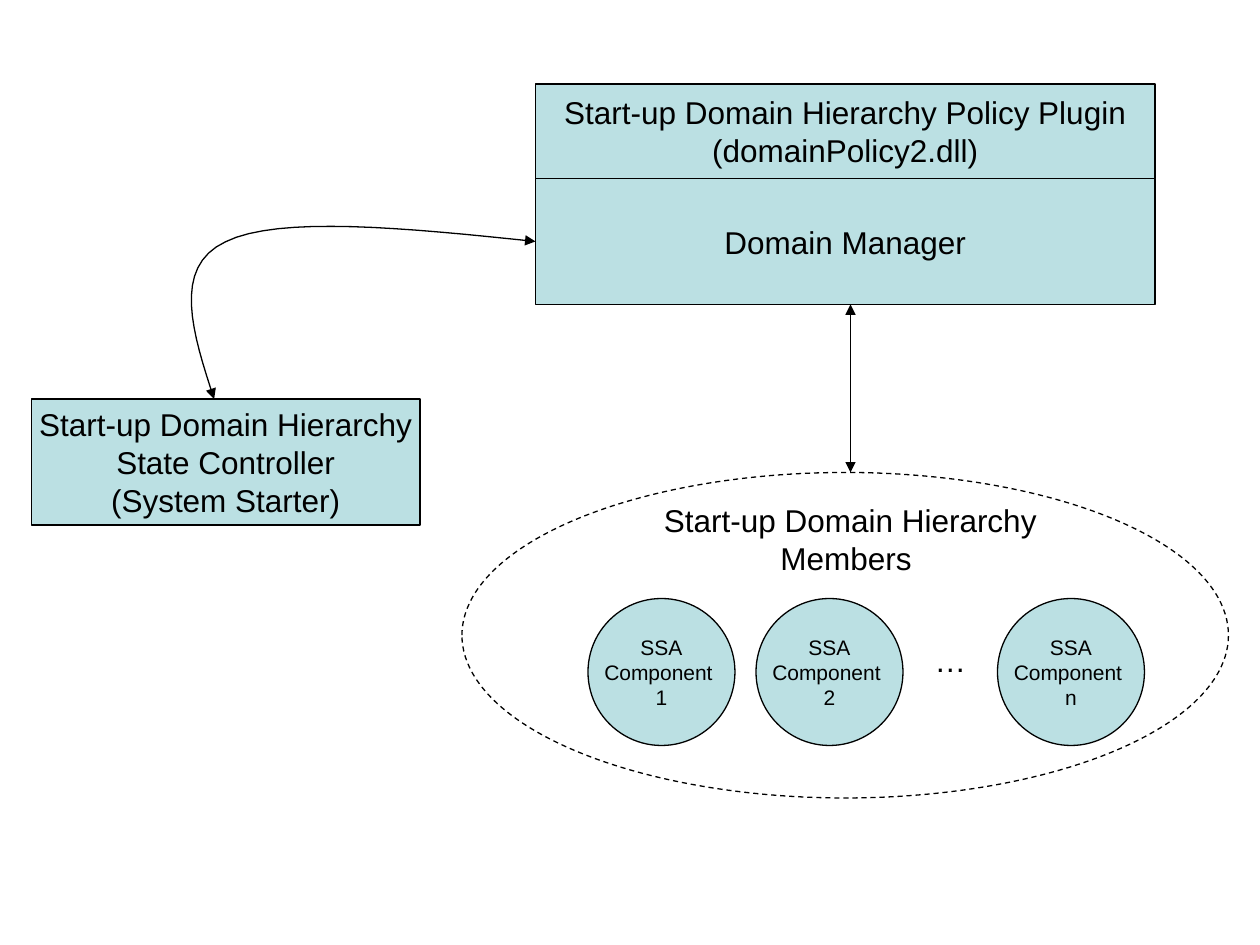
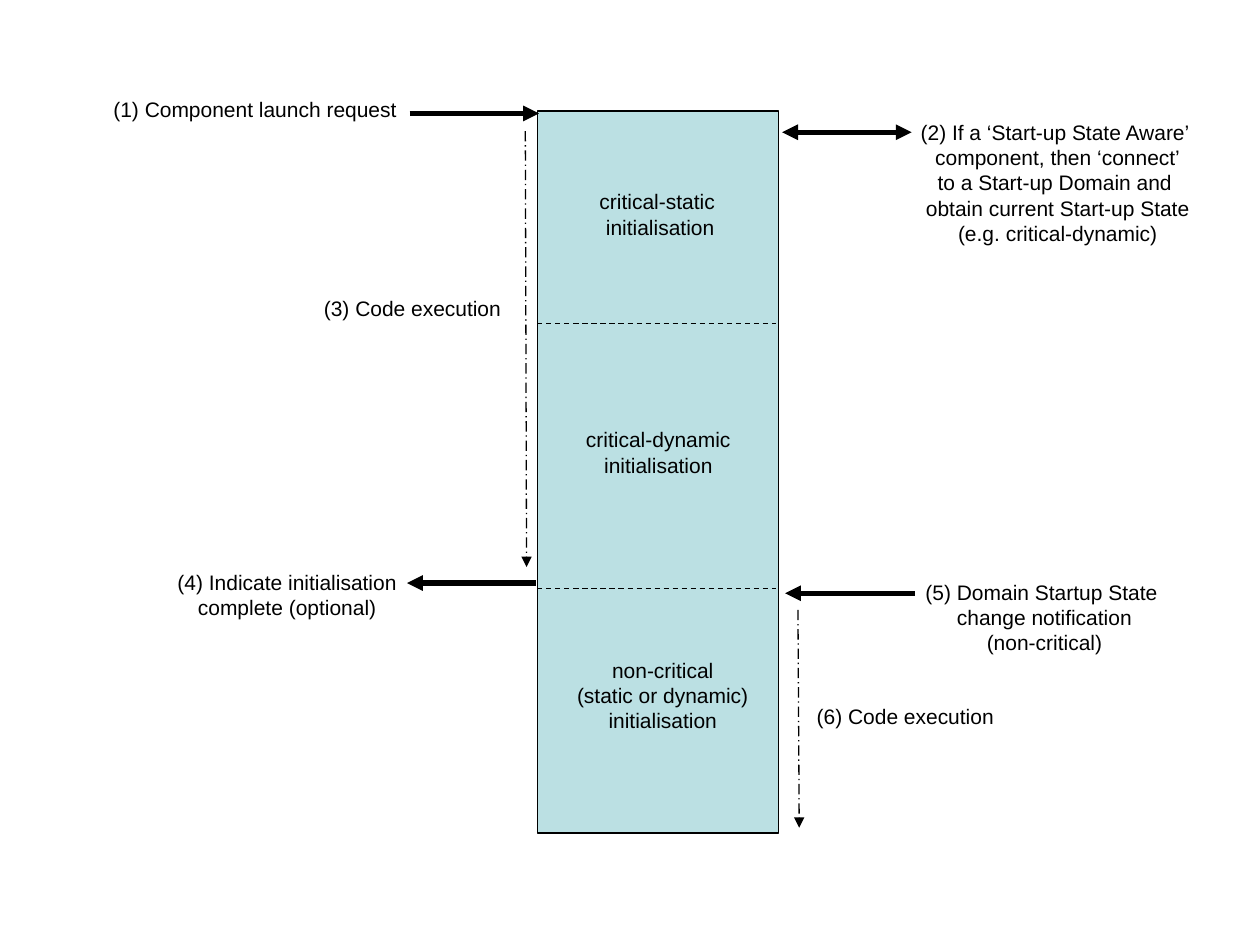
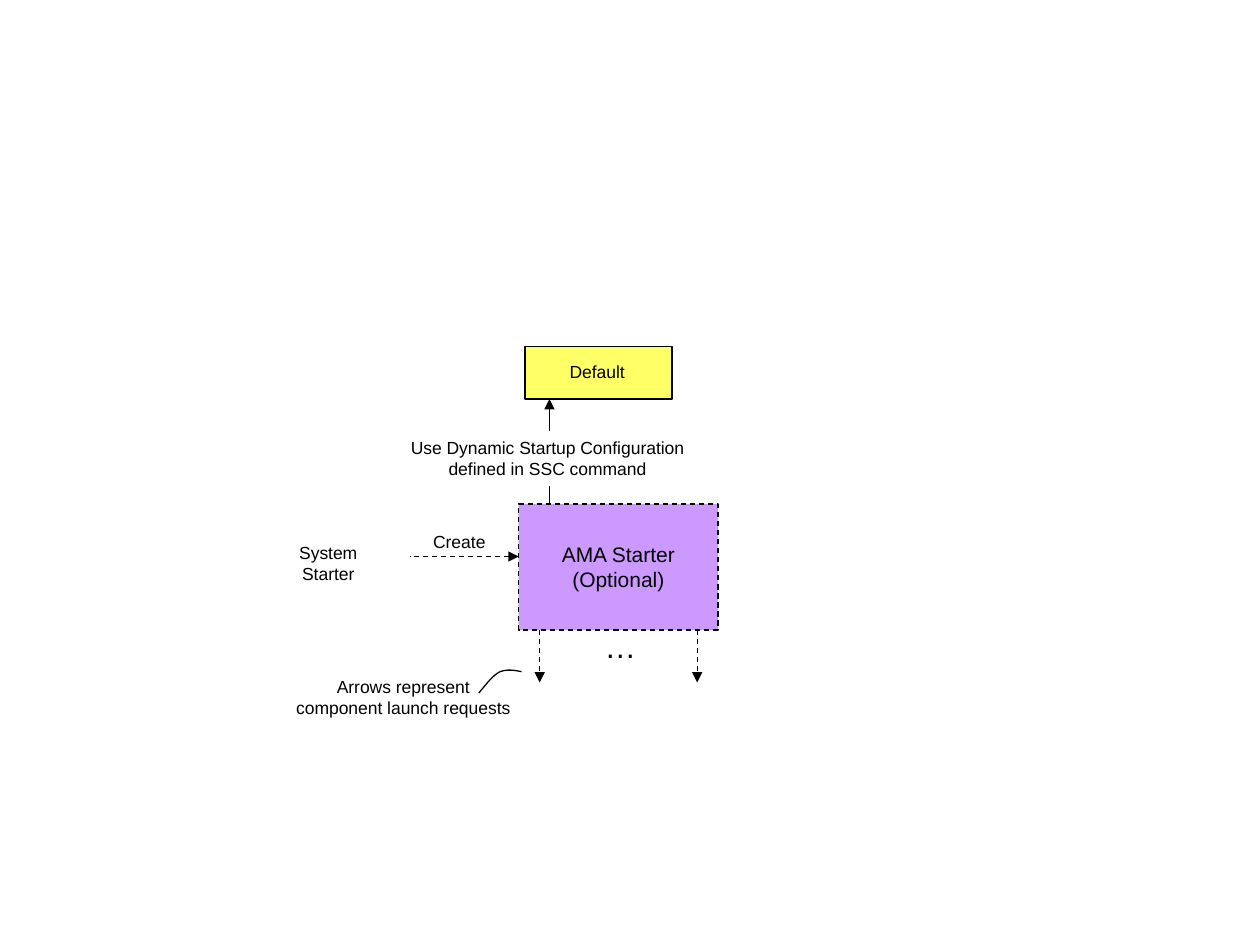
"""Build three diagrams of the start-up domain hierarchy and its components."""
import lxml.etree
import pptx
import pptx.dml.color
import pptx.enum.dml
import pptx.enum.shapes
import pptx.enum.text
import pptx.oxml.ns
import pptx.util

Pt = pptx.util.Pt
color = pptx.dml.color.RGBColor.from_string
qn = pptx.oxml.ns.qn
RECTANGLE = pptx.enum.shapes.MSO_SHAPE.RECTANGLE
OVAL = pptx.enum.shapes.MSO_SHAPE.OVAL
STRAIGHT = pptx.enum.shapes.MSO_CONNECTOR.STRAIGHT
DASH = pptx.enum.dml.MSO_LINE.DASH
LONG_DASH_DOT = pptx.enum.dml.MSO_LINE.LONG_DASH_DOT
MIDDLE = pptx.enum.text.MSO_ANCHOR.MIDDLE
TOP = pptx.enum.text.MSO_ANCHOR.TOP
CENTER = pptx.enum.text.PP_ALIGN.CENTER
LEFT = pptx.enum.text.PP_ALIGN.LEFT
FIT = pptx.enum.text.MSO_AUTO_SIZE.SHAPE_TO_FIT_TEXT
BLACK, WHITE, TEAL, PURPLE, YELLOW = "000000", "FFFFFF", "BBE0E3", "CC99FF", "FFFF66"
CURVE_STEPS = 16


def add_box(slide, bounds, text="", size=12, form=None, fill=None, outline=True,
            dash=None, anchor=MIDDLE, alignment=CENTER, wrap=False):
    """Add a preset shape, or a plain text box when no form is given."""
    position = [Pt(value) for value in bounds]
    if form is None:
        shape = slide.shapes.add_textbox(*position)
        frame_format = {"word_wrap": wrap, "auto_size": FIT, "vertical_anchor": TOP}
    else:
        shape = slide.shapes.add_shape(form, *position)
        shape.shadow.inherit = False
        frame_format = {"word_wrap": wrap, "vertical_anchor": anchor}
        if fill:
            shape.fill.solid()
            shape.fill.fore_color.rgb = color(fill)
        else:
            shape.fill.background()
        if outline:
            shape.line.color.rgb = color(BLACK)
            shape.line.width = Pt(0.75)
            shape.line.dash_style = dash
        else:
            shape.line.fill.background()
    for name, value in frame_format.items():
        setattr(shape.text_frame, name, value)
    shape.text_frame.text = text
    for paragraph in shape.text_frame.paragraphs:
        paragraph.alignment = alignment
        for run in paragraph.runs:
            for name, value in {"name": "Arial", "size": Pt(size)}.items():
                setattr(run.font, name, value)
            run.font.color.rgb = color(BLACK)


def add_line(slide, points, width=0.75, dash=None, ends=()):
    """Add a straight connector, or a curve through chained cubic control points."""
    if len(points) == 2:
        line = slide.shapes.add_connector(
            STRAIGHT, *[Pt(value) for point in points for value in point])
    else:
        curve = []
        for first in range(0, len(points) - 1, 3):
            controls = points[first:first + 4]
            for step in range(1, CURVE_STEPS + 1):
                t = step / CURVE_STEPS
                weights = ((1 - t) ** 3, 3 * t * (1 - t) ** 2, 3 * t * t * (1 - t), t ** 3)
                curve.append([Pt(sum(weight * point[axis] for weight, point in zip(weights, controls)))
                              for axis in (0, 1)])
        builder = slide.shapes.build_freeform(*[Pt(value) for value in points[0]])
        builder.add_line_segments(curve, close=False)
        line = builder.convert_to_shape()
        line.fill.background()
    line.line.color.rgb = color(BLACK)
    for name, value in {"width": Pt(width), "dash_style": dash}.items():
        setattr(line.line, name, value)
    properties = line._element.spPr
    for end in ("headEnd", "tailEnd"):
        if end in ends:
            lxml.etree.SubElement(properties.find(qn("a:ln")), qn("a:" + end), type="triangle")
    lxml.etree.SubElement(properties, qn("a:effectLst"))


HEAD, TAIL, BOTH = ("headEnd",), ("tailEnd",), ("headEnd", "tailEnd")

presentation = pptx.Presentation()
presentation.slide_width, presentation.slide_height = Pt(720), Pt(540)
hierarchy, timeline, starter = [
    presentation.slides.add_slide(presentation.slide_layouts[6]) for _ in range(3)]

for left, label in ((432, "2"), (570, "n"), (336, "1")):
    add_box(hierarchy, (left, 342, 84, 84), f"SSA\nComponent \n{label}", form=OVAL, fill=TEAL)
add_box(hierarchy, (264, 270, 438, 186), form=OVAL, dash=DASH)
add_box(hierarchy, (372.2, 283, 227.5, 50.4), "Start-up Domain Hierarchy\nMembers ", 18)
for bounds, text in (
    ((18, 228, 222, 72), "Start-up Domain Hierarchy\nState Controller\n(System Starter)"),
    ((306, 102, 354, 72), "Domain Manager"),
    ((306, 48, 354, 54), "Start-up Domain Hierarchy Policy Plugin\n(domainPolicy2.dll)"),
):
    add_box(hierarchy, bounds, text, 18, RECTANGLE, TEAL)
add_line(hierarchy, [(306, 138), (232.6, 130.3), (159.1, 123.1), (128.9, 138.2),
                     (97.9, 152.6), (110.2, 190.8), (122.4, 228)], ends=BOTH)
add_line(hierarchy, [(486, 174), (486, 270)], ends=BOTH)
add_box(hierarchy, (527, 363, 32.4, 28.8), "…", 18, alignment=LEFT)

add_box(timeline, (307, 63.4, 138, 412.6), form=RECTANGLE, fill=TEAL)
for height in (185, 336.2):
    add_line(timeline, [(307, height), (443.5, height)], dash=DASH)
for bounds, text in (
    ((322.6, 372.2, 112.3, 50.4), "non-critical\n(static or dynamic)\ninitialisation"),
    ((327.6, 240.5, 97.2, 36), "critical-dynamic\ninitialisation"),
    ((335.5, 104.4, 83.5, 36), "critical-static \ninitialisation"),
    ((94.3, 321.8, 139.7, 36), "(4) Indicate initialisation\ncomplete (optional)"),
    ((518.4, 64.8, 172.1, 79.2),
     "(2) If a ‘Start-up State Aware’ \ncomponent, then ‘connect’\nto a Start-up Domain and \n"
     "obtain current Start-up State\n(e.g. critical-dynamic)"),
    ((57.6, 51.8, 176.4, 21.6), "(1) Component launch request"),
    ((177.8, 165.6, 115.9, 21.6), "(3) Code execution"),
    ((459.4, 398.2, 115.9, 21.6), "(6) Code execution"),
):
    add_box(timeline, bounds, text)
add_box(timeline, (521.3, 327.6, 151.2, 50.4),
        "(5) Domain Startup State \nchange notification\n(non-critical)", wrap=True)
for left, right, height, ends in (
    (234, 308, 64.8, TAIL), (447, 521, 75.6, BOTH), (232.6, 306, 333.2, HEAD), (448.6, 522.7, 339, HEAD),
):
    add_line(timeline, [(left, height), (right, height)], 3, ends=ends)
for left, top, bottom in ((300.2, 74.9, 324), (456, 348.5, 473)):
    add_line(timeline, [(left, top), (left + 0.7, bottom)], dash=LONG_DASH_DOT, ends=TAIL)

add_box(starter, (162, 383, 136.8, 31.7), "Arrows represent\ncomponent launch requests", 10)
add_box(starter, (296.4, 288, 114, 72), "AMA Starter\n(Optional)",
        form=RECTANGLE, fill=PURPLE, dash=DASH)
for left in (308.4, 398.4):
    add_line(starter, [(left, 360), (left, 390)], dash=DASH, ends=TAIL)
add_line(starter, [(314, 288), (314, 228)], ends=TAIL)
for bounds, text in (
    ((240.5, 300.2, 43.9, 19.4), "Create"),
    ((227.5, 246.2, 170.6, 31.7), "Use Dynamic Startup Configuration\ndefined in SSC command"),
):
    add_box(starter, bounds, text, 10, RECTANGLE, WHITE, outline=False, anchor=TOP)
add_line(starter, [(296.4, 318), (234, 318)], dash=DASH, ends=HEAD)
add_box(starter, (338.4, 355, 32.4, 28.8), "…", 18, alignment=LEFT)
add_box(starter, (300, 198, 84, 30), form=RECTANGLE, fill=YELLOW)
add_box(starter, (318.2, 203, 46.1, 19.4), "Default", 10)
add_box(starter, (147.6, 306, 79.9, 19.4), "System Starter", 10)
add_line(starter, [(273.6, 396), (277.9, 391), (281.5, 385.9), (285.8, 383.8),
                   (290.2, 382.3), (293.8, 383), (298, 383.8)])

presentation.save("out.pptx")
